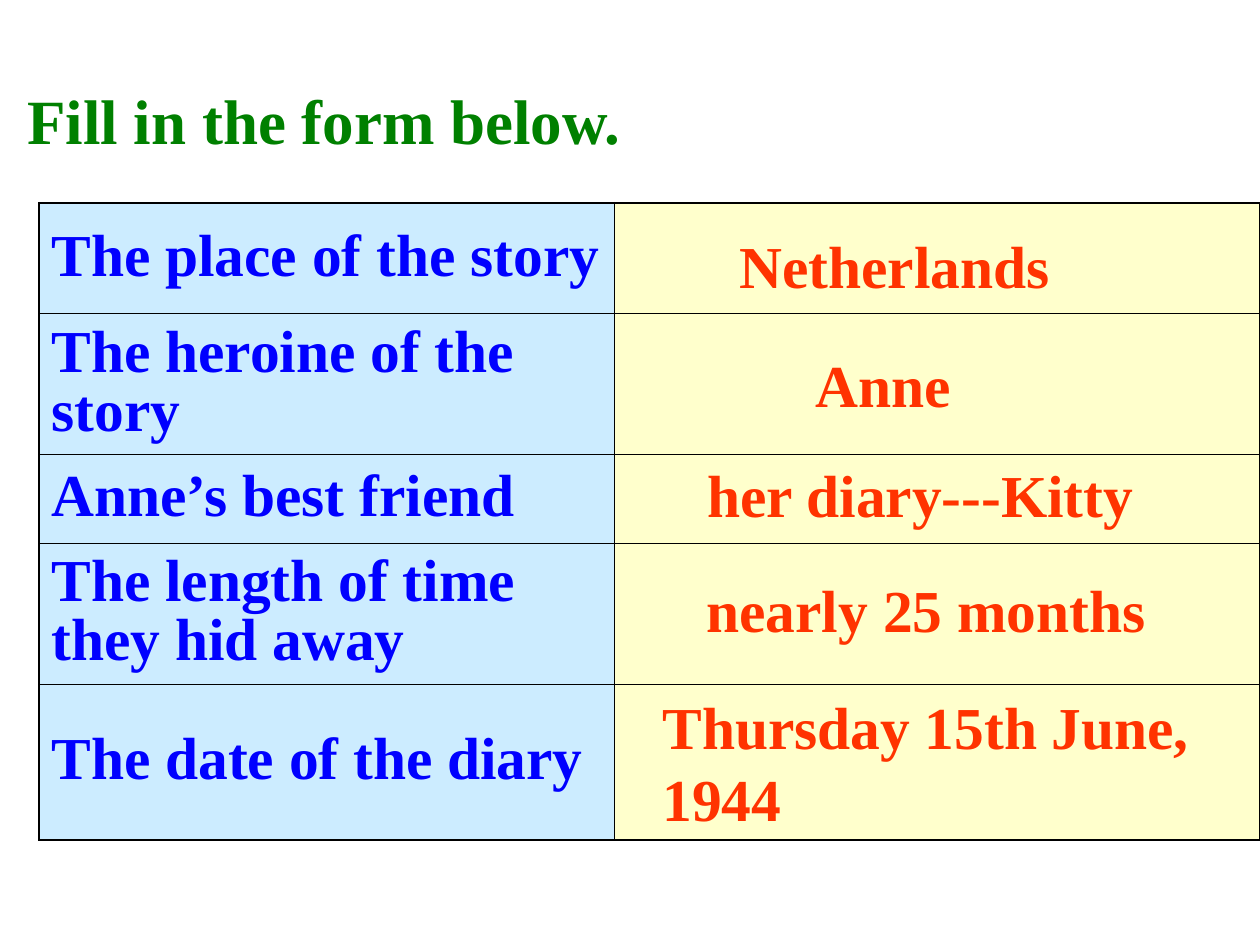
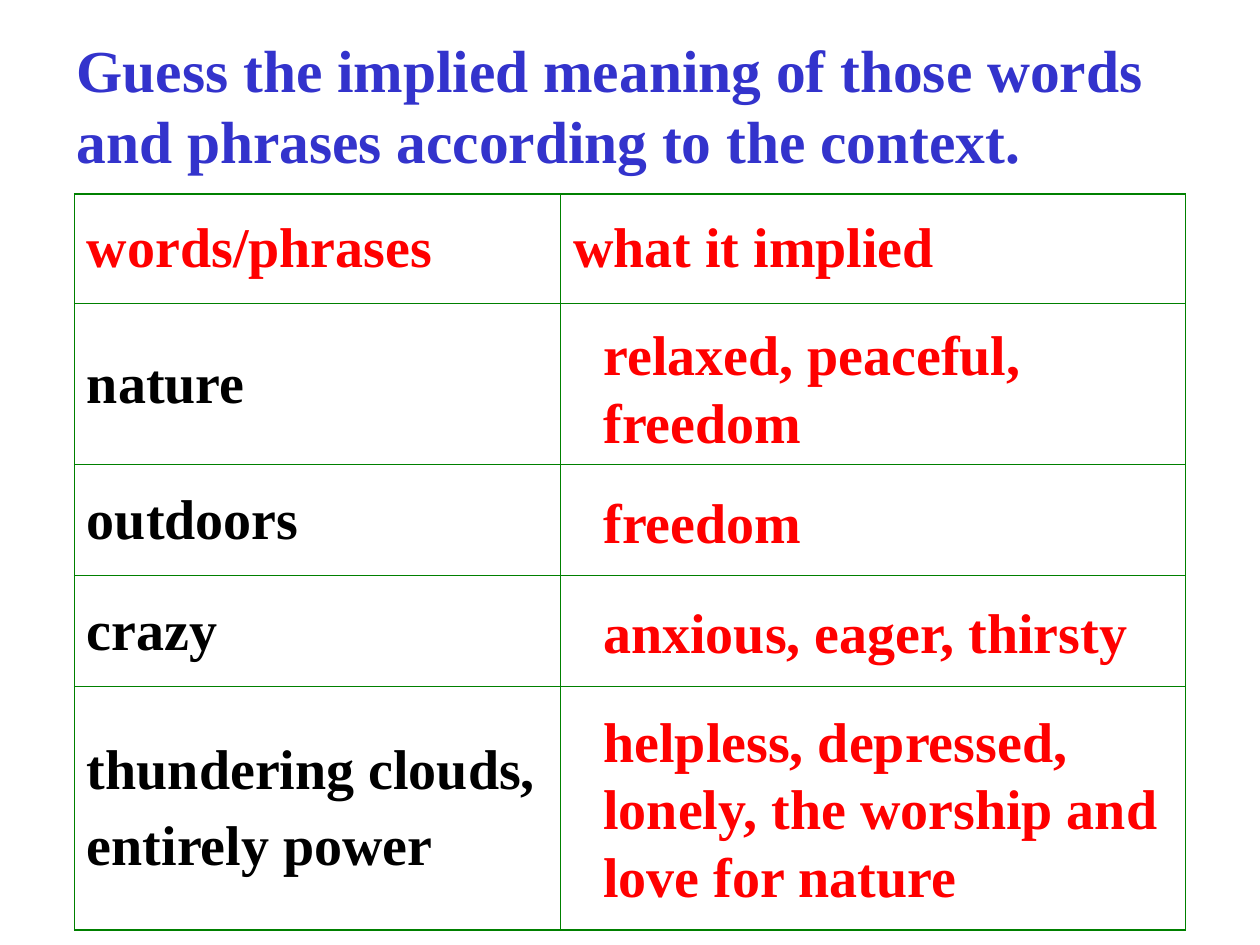
from dataclasses import dataclass

import pptx
import pptx.dml.color
import pptx.enum.text
import pptx.oxml
import pptx.oxml.ns
import pptx.util

Pt = pptx.util.Pt
RGB = pptx.dml.color.RGBColor.from_string


@dataclass(frozen=True)
class Theme:
    font: str = "Times New Roman"
    paper: str = "FFFFFF"
    black: str = "000000"
    green: str = "008000"
    blue: str = "0000FF"
    navy: str = "3333CC"
    red: str = "FF0000"
    orange: str = "FF3300"
    sky: str = "CCECFF"
    cream: str = "FFFFCC"
    title: int = 36
    large: int = 34
    body: int = 32
    space: float = 8.5   # one indent step
    gap: int = 8         # space between paragraphs


def write(frame, text, size, color, font, gap=0, line=None, indent=0):
    """Fill a text frame; each line of text is a paragraph."""
    for i, part in enumerate(text.split("\n")):
        para = frame.paragraphs[0] if i == 0 else frame.add_paragraph()
        if indent:
            para._p.get_or_add_pPr().set("marL", str(Pt(indent)))
        if i:
            para.space_before = Pt(gap)
        if line:
            para.line_spacing = line
        run = para.add_run()
        run.text = part
        run.font.name = font
        run.font.size = Pt(size)
        run.font.bold = True
        run.font.color.rgb = RGB(color)


def edge(cell, sides):
    """Draw cell borders from (width, color) for left, right, top, bottom."""
    props = cell._tc.get_or_add_tcPr()
    for i, (side, (width, color)) in enumerate(zip("LRTB", sides)):
        props.insert(i, pptx.oxml.parse_xml(
            f'<a:ln{side} {pptx.oxml.ns.nsdecls("a")} w="{Pt(width)}">'
            f'<a:solidFill><a:srgbClr val="{color}"/></a:solidFill></a:ln{side}>'))


class Deck:
    def __init__(self, theme):
        self.theme = theme
        self.show = pptx.Presentation()
        self.show.slide_width, self.show.slide_height = Pt(720), Pt(540)
        self.slide = None

    def page(self):
        self.slide = self.show.slides.add_slide(self.show.slide_layouts[6])
        fill = self.slide.background.fill
        fill.solid()
        fill.fore_color.rgb = RGB(self.theme.paper)

    def text(self, text, box, size, color, wrap=True, **style):
        frame = self.slide.shapes.add_textbox(*map(Pt, box)).text_frame
        frame.word_wrap = wrap
        frame.auto_size = pptx.enum.text.MSO_AUTO_SIZE.SHAPE_TO_FIT_TEXT
        write(frame, text, size, color, self.theme.font, **style)

    def table(self, left, top, cols, rows, outer, inner, color, fills=()):
        """Add an empty ruled grid; fills gives one color per column."""
        grid = self.slide.shapes.add_table(
            len(rows), len(cols), Pt(left), Pt(top),
            Pt(sum(cols)), Pt(sum(rows))).table
        grid.first_row = grid.horz_banding = False
        for col, width in zip(grid.columns, cols):
            col.width = Pt(width)
        for row, height in zip(grid.rows, rows):
            row.height = Pt(height)
        for r in range(len(rows)):
            for c in range(len(cols)):
                cell = grid.cell(r, c)
                cell.vertical_anchor = pptx.enum.text.MSO_ANCHOR.MIDDLE
                if fills:
                    cell.fill.solid()
                    cell.fill.fore_color.rgb = RGB(fills[c])
                else:
                    cell.fill.background()
                ends = (c == 0, c == len(cols) - 1, r == 0, r == len(rows) - 1)
                edge(cell, [(outer if end else inner, color) for end in ends])
        return grid

    def cell(self, grid, row, col, text, size, color, **style):
        write(grid.cell(row, col).text_frame, text, size, color,
              self.theme.font, **style)


def form(deck):
    t = deck.theme
    deck.page()
    grid = deck.table(22.3, 115.9, (329, 368.7), (63.4, 80.6, 50.4, 80.6, 89.3),
                      1.08, 0.45, t.black, (t.sky, t.cream))
    asks = ("The place of the story", "The heroine of the story",
            "Anne’s best friend", "The length of time they hid away",
            "The date of the diary")
    for row, ask in enumerate(asks):
        deck.cell(grid, row, 0, ask, t.large, t.blue, line=0.9)
    # text, left, top, width, height, indent steps
    facts = (("Netherlands", 415.4, 127.4, 222.5, 48.2, 0),
             ("Anne", 382.3, 195.1, 255.6, 48.2, 9),
             ("her diary---Kitty", 371.5, 258.5, 294.5, 48.2, 3),
             ("nearly 25 months", 354.2, 324, 339.8, 48.2, 5),
             ("Thursday 15th June, 1944", 371.5, 391, 351.4, 89.3, 0))
    for fact, *box, steps in facts:
        deck.text(fact, box, t.large, t.orange, indent=steps * t.space)
    deck.text("Fill in the form below.", (8.6, 43.2, 355, 50.4),
              t.title, t.green, wrap=False)


def guess(deck):
    t = deck.theme
    deck.page()
    deck.text("Guess the implied meaning of those words and phrases "
              "according to the context.", (36.7, 15.1, 652.3, 89.3),
              t.large, t.navy)
    grid = deck.table(42.5, 110.9, (277.9, 357.1), (62.6, 92.2, 63.4, 63.4, 139),
                      0.75, 0.75, t.green)
    for col, head in enumerate(("words/phrases", "what it implied")):
        deck.cell(grid, 0, col, head, t.body, t.red)
    words = ("nature", "outdoors", "crazy", "thundering clouds,\nentirely power")
    for row, word in enumerate(words, 1):
        deck.cell(grid, row, 0, word, t.body, t.black, gap=t.gap)
    # text, wrap, top, width, height
    hints = (("relaxed, peaceful, freedom", True, 179.3, 255.6, 84.2),
             ("freedom", False, 275, 128.2, 46.1),
             ("anxious, eager, thirsty", False, 337.7, 316.8, 46.1),
             ("helpless, depressed, lonely, the worship and love for nature",
              True, 400.3, 339.1, 122.4))
    for hint, wrap, top, width, height in hints:
        deck.text(hint, (337.7, top, width, height), t.body, t.red, wrap=wrap)


def main():
    deck = Deck(Theme())
    form(deck)
    guess(deck)
    deck.show.save("out.pptx")


if __name__ == "__main__":
    main()
